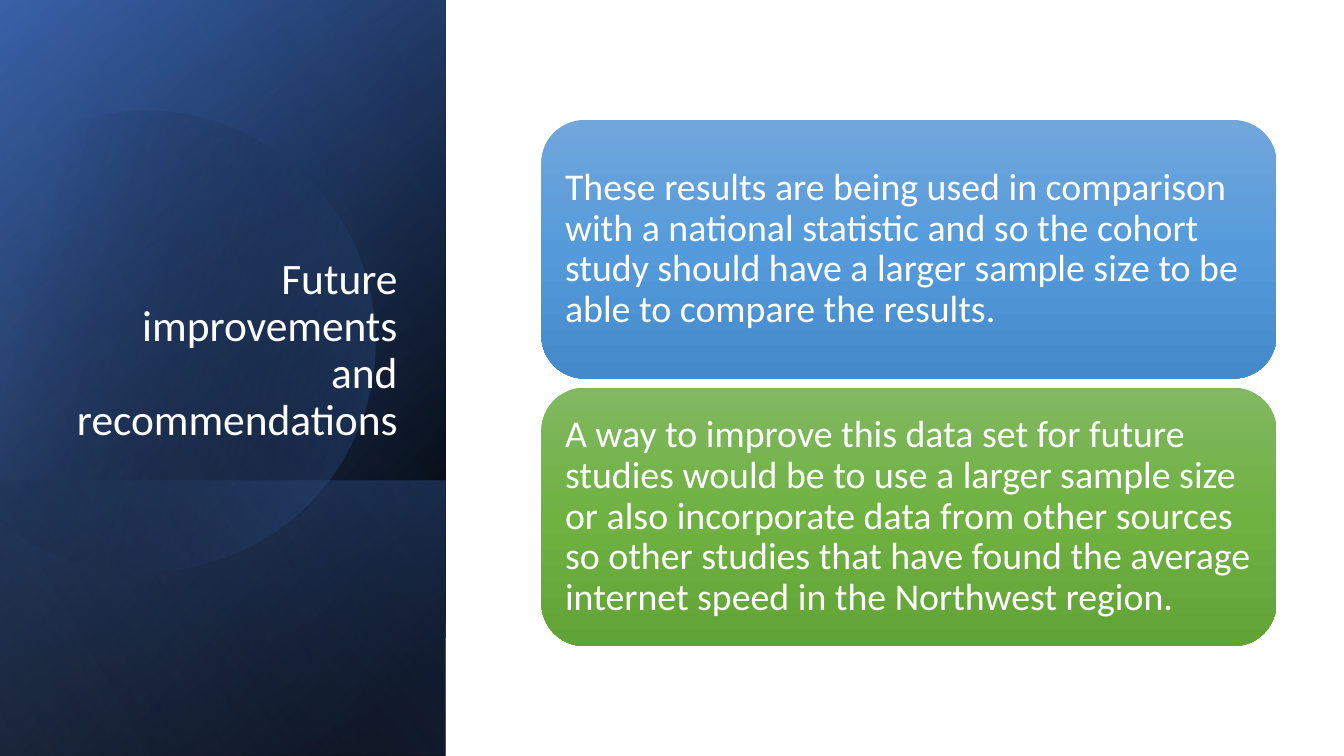
import math

import lxml.etree
import pptx
import pptx.dml.color
import pptx.enum.shapes
import pptx.enum.text
import pptx.oxml.ns
import pptx.util

Inches = pptx.util.Inches
RGBColor = pptx.dml.color.RGBColor
MSO_SHAPE = pptx.enum.shapes.MSO_SHAPE
MSO_ANCHOR = pptx.enum.text.MSO_ANCHOR
PP_ALIGN = pptx.enum.text.PP_ALIGN
qn = pptx.oxml.ns.qn

WHITE = RGBColor(0xFF, 0xFF, 0xFF)
BLACK = RGBColor(0x00, 0x00, 0x00)
NAVY = RGBColor(0x2F, 0x55, 0x97)
BLUE = RGBColor(0x44, 0x72, 0xC4)
PALE_BLUE = RGBColor(0x8F, 0xAA, 0xDC)
CARD_BLUES = (RGBColor(0x71, 0xA6, 0xDB), RGBColor(0x55, 0x9B, 0xDB), RGBColor(0x44, 0x8A, 0xCA))
CARD_GREENS = (RGBColor(0x81, 0xB8, 0x61), RGBColor(0x6F, 0xB2, 0x42), RGBColor(0x62, 0xA3, 0x36))
FONT = "Calibri"

TITLE = "Future improvements and recommendations"
CARDS = [
    ("These results are being used in comparison with a national statistic and so the cohort "
     "study should have a larger sample size to be able to compare the results.", CARD_BLUES),
    ("A way to improve this data set for future studies would be to use a larger sample size "
     "or also incorporate data from other sources so other studies that have found the average "
     "internet speed in the Northwest region.", CARD_GREENS),
]

# Outline of the tilted disc, measured from the top left of its box before tilting
DISC_OUTLINE = [
    ("moveTo", [(1.49, 0.04)]),
    ("cubicBezTo", [(2.46, 0.06), (3.35, 0.71), (3.63, 1.69)]),
    ("cubicBezTo", [(3.98, 2.91), (3.28, 4.17), (2.07, 4.52)]),
    ("cubicBezTo", [(1.31, 4.74), (0.53, 4.55), (-0.03, 4.08)]),
    ("lnTo", [(-0.15, 3.97)]),
    ("lnTo", [(-0.15, 0.69)]),
    ("lnTo", [(0, 0.55)]),
    ("cubicBezTo", [(0.23, 0.36), (0.5, 0.22), (0.8, 0.13)]),
    ("cubicBezTo", [(1.03, 0.07), (1.26, 0.04), (1.49, 0.04)]),
    ("close", []),
]


def paint(shape, stops, angle):
    """Gradient of (position %, colour, opacity %) stops, without line or shadow."""
    shape.shadow.inherit = False
    shape.line.fill.background()
    shape.fill.background()
    grad = lxml.etree.Element(qn("a:gradFill"), rotWithShape="1")
    gs_list = lxml.etree.SubElement(grad, qn("a:gsLst"))
    for position, color, opacity in stops:
        gs = lxml.etree.SubElement(gs_list, qn("a:gs"), pos=str(position * 1000))
        rgb = lxml.etree.SubElement(gs, qn("a:srgbClr"), val=str(color))
        if opacity < 100:
            lxml.etree.SubElement(rgb, qn("a:alpha"), val=str(opacity * 1000))
    lxml.etree.SubElement(grad, qn("a:lin"), ang=str(angle * 60000), scaled="0")
    sp_pr = shape._element.spPr
    sp_pr.replace(sp_pr.find(qn("a:noFill")), grad)


def add_text(s, left, top, width, height, text, size, align, anchor):
    box = s.shapes.add_textbox(Inches(left), Inches(top), Inches(width), Inches(height))
    tf = box.text_frame
    tf.word_wrap = True
    tf.vertical_anchor = anchor
    p = tf.paragraphs[0]
    p.text = text
    p.alignment = align
    p.line_spacing = 0.9
    p.font.name = FONT
    p.font.size = pptx.util.Pt(size)
    p.font.color.rgb = WHITE
    return tf


def add_layer(s, left, top, width, height, stops, angle):
    """Mirrored rectangle turned by 90 degrees so that it covers the given box."""
    sp = s.shapes.add_shape(
        MSO_SHAPE.RECTANGLE,
        Inches(left + (width - height) / 2), Inches(top + (height - width) / 2),
        Inches(height), Inches(width))
    sp.rotation = 90
    sp._element.spPr.find(qn("a:xfrm")).set("flipH", "1")
    paint(sp, stops, angle)


def add_disc(s, left, top, width, height, tilt=-16.1):
    """Tilted disc, cut off at the left."""
    right, bottom = left + width, top + height
    builder = s.shapes.build_freeform(Inches(left), Inches(top))
    builder.add_line_segments(
        [(Inches(x), Inches(y)) for x, y in [(right, top), (right, bottom), (left, bottom)]])
    sp = builder.convert_to_shape()
    # Curved outline, turned back by the tilt that the rotation restores
    cos, sin = math.cos(math.radians(tilt)), math.sin(math.radians(tilt))
    curve = next(sp._element.iter(qn("a:path")))
    for segment in list(curve):
        curve.remove(segment)
    for kind, points in DISC_OUTLINE:
        segment = lxml.etree.SubElement(curve, qn("a:" + kind))
        for x, y in points:
            dx = x - left - width / 2
            dy = y - height / 2
            lxml.etree.SubElement(
                segment, qn("a:pt"),
                x=str(Inches(width / 2 + dx * cos + dy * sin)),
                y=str(Inches(height / 2 - dx * sin + dy * cos)))
    sp.rotation = tilt
    paint(sp, [(29, BLACK, 0), (100, BLUE, 43)], 30)


def add_title_panel(s, left, top, width, height):
    # Background layers
    panel = (left, top, width, height)
    shade = 2.73
    add_layer(s, *panel, [(8, BLACK, 100), (100, NAVY, 100)], 50)
    add_layer(s, *panel, [(0, BLACK, 0), (99, BLUE, 46)], 30)
    add_layer(s, left, top + height - shade, width, shade,
              [(2, BLUE, 29), (100, BLACK, 30)], 130)
    add_disc(s, left - 0.55, top + 1.06, 4.27, 4.57)
    add_layer(s, *panel, [(0, BLACK, 0), (99, PALE_BLUE, 11)], 120)
    # Title
    add_text(s, left + 0.64, top + 1.84, width - 1.02, 2.62,
             TITLE, 31, PP_ALIGN.RIGHT, MSO_ANCHOR.BOTTOM)


def add_cards(s, left, top, width, height, gap=0.09, inset=0.125):
    card_height = (height - gap * (len(CARDS) - 1)) / len(CARDS)
    for i, (text, colors) in enumerate(CARDS):
        card_top = top + i * (card_height + gap)
        sp = s.shapes.add_shape(
            MSO_SHAPE.ROUNDED_RECTANGLE,
            Inches(left), Inches(card_top), Inches(width), Inches(card_height))
        paint(sp, [(50 * k, color, 100) for k, color in enumerate(colors)], 90)
        tf = add_text(s, left + inset, card_top + inset,
                      width - 2 * inset, card_height - 2 * inset,
                      text, 27, PP_ALIGN.LEFT, MSO_ANCHOR.MIDDLE)
        tf.margin_left = tf.margin_right = tf.margin_top = tf.margin_bottom = Inches(0.11)


def main():
    prs = pptx.Presentation()
    prs.slide_width = Inches(13.33)
    prs.slide_height = Inches(7.5)
    s = prs.slides.add_slide(prs.slide_layouts[6])
    add_title_panel(s, 0, 0, 4.42, 7.5)
    add_cards(s, 5.37, 1.19, 7.29, 5.22)
    prs.save("out.pptx")


if __name__ == "__main__":
    main()
